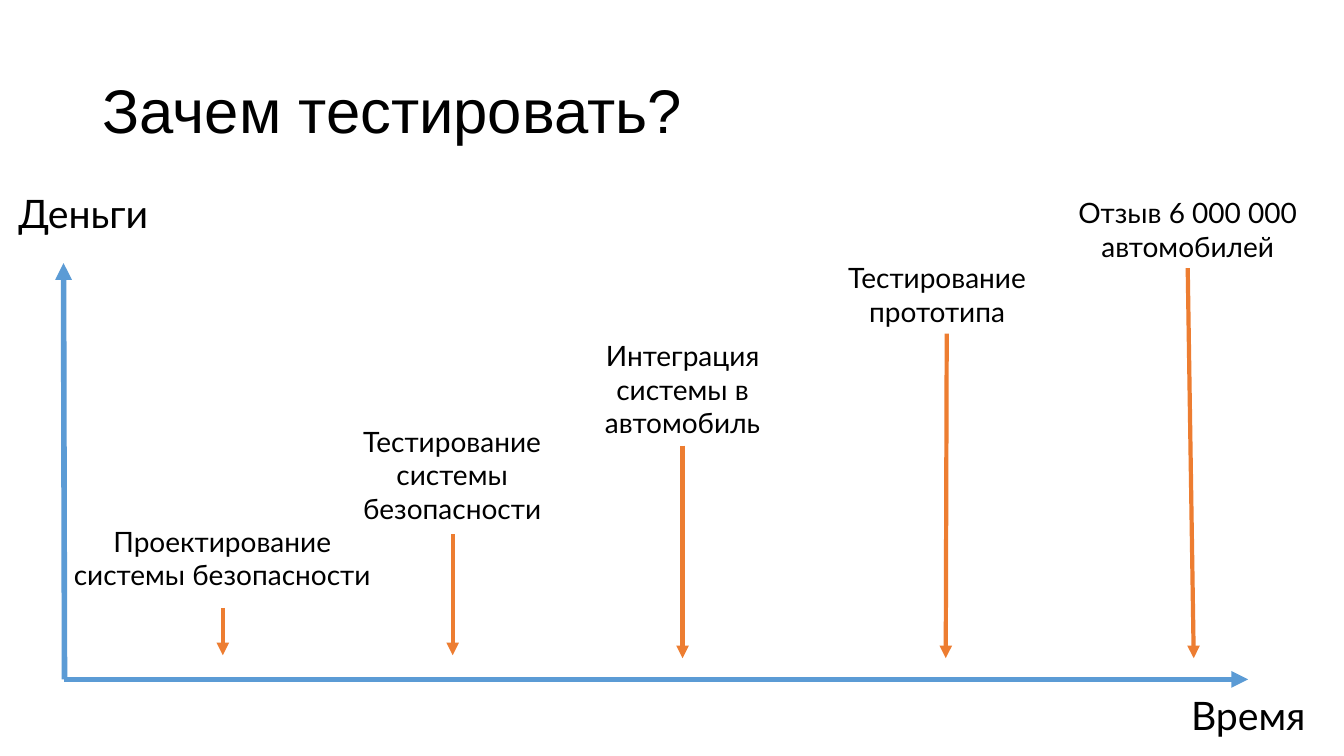
from dataclasses import dataclass

from lxml import etree
from pptx import Presentation
from pptx.dml.color import RGBColor
from pptx.enum.shapes import MSO_CONNECTOR
from pptx.enum.text import MSO_ANCHOR, MSO_AUTO_SIZE, PP_ALIGN
from pptx.oxml.ns import qn
from pptx.util import Inches, Pt

STRAIGHT = MSO_CONNECTOR.STRAIGHT
MIDDLE = MSO_ANCHOR.MIDDLE
FIT_SHAPE = MSO_AUTO_SIZE.SHAPE_TO_FIT_TEXT
CENTER = PP_ALIGN.CENTER
BOTTOM_SITE = 2

COLORS = {"text": "000000", "axis": "5B9BD5", "stage": "ED7D31"}
BODY_FONT = "Lato"
TITLE_FONT = "Arial"

Point = tuple[float, float]
Box = tuple[float, float, float, float]


@dataclass
class Axis:
    name: str
    label_box: Box
    start: Point
    end: Point


@dataclass
class Stage:
    """A project stage; its arrow points down to the time axis."""
    name: str
    label_box: Box
    start: Point
    end: Point
    joined: bool = False


AXES = [
    Axis("Время", (11.62, 6.81, 1.52, 0.57), (0.63, 6.74), (12.38, 6.74)),
    Axis("Деньги", (-0.07, 1.83, 1.79, 0.57), (0.64, 6.74), (0.63, 2.61)),
]

STAGES = [
    Stage("Проектирование системы безопасности", (0.53, 5.15, 3.35, 0.77),
          (2.21, 6.03), (2.21, 6.5)),
    Stage("Тестирование системы безопасности", (3.23, 4.16, 2.51, 1.11),
          (4.49, 5.3), (4.49, 6.5)),
    Stage("Интеграция системы в автомобиль", (5.46, 3.31, 2.62, 1.11),
          (6.77, 4.42), (6.77, 6.53), joined=True),
    Stage("Тестирование прототипа", (7.86, 2.54, 2.87, 0.77),
          (9.39, 3.31), (9.38, 6.53)),
    Stage("Отзыв 6 000 000 автомобилей", (10.09, 1.89, 3.38, 0.77),
          (11.78, 2.66), (11.84, 6.53), joined=True),
]


def add_text(slide, text: str, box: Box, size: float, font: str = BODY_FONT):
    sp = slide.shapes.add_textbox(*(Inches(v) for v in box))
    tf = sp.text_frame
    tf.word_wrap = True
    p = tf.paragraphs[0]
    p.text = text
    p.font.size = Pt(size)
    p.font.name = font
    p.font.color.rgb = RGBColor.from_string(COLORS["text"])
    return sp


def add_label(slide, text: str, box: Box, size: float):
    """Add a centred text box that grows with its text."""
    sp = add_text(slide, text, box, size)
    sp.text_frame.auto_size = FIT_SHAPE
    sp.text_frame.paragraphs[0].alignment = CENTER
    return sp


def add_arrow(slide, start: Point, end: Point, color: str, width: float):
    arrow = slide.shapes.add_connector(
        STRAIGHT, *(Inches(v) for v in (*start, *end)))
    arrow.line.color.rgb = RGBColor.from_string(COLORS[color])
    arrow.line.width = Pt(width)
    etree.SubElement(arrow.line._get_or_add_ln(), qn("a:tailEnd"), type="triangle")
    etree.SubElement(arrow._element.spPr, qn("a:effectLst"))
    return arrow


def add_title(slide) -> None:
    sp = add_text(slide, "Зачем тестировать?", (0.92, 0.4, 11.5, 1.45), 44, TITLE_FONT)
    sp.text_frame.vertical_anchor = MIDDLE
    sp.text_frame.paragraphs[0].line_spacing = 0.9


def main() -> None:
    prs = Presentation()
    prs.slide_width = Inches(13.33)
    prs.slide_height = Inches(7.5)
    slide = prs.slides.add_slide(prs.slide_layouts[6])

    add_title(slide)
    for axis in AXES:
        add_arrow(slide, axis.start, axis.end, "axis", 4)
        add_label(slide, axis.name, axis.label_box, 28)
    for stage in STAGES:
        label = add_label(slide, stage.name, stage.label_box, 20)
        arrow = add_arrow(slide, stage.start, stage.end, "stage", 3)
        if stage.joined:
            arrow.begin_connect(label, BOTTOM_SITE)

    prs.save("out.pptx")


if __name__ == "__main__":
    main()
